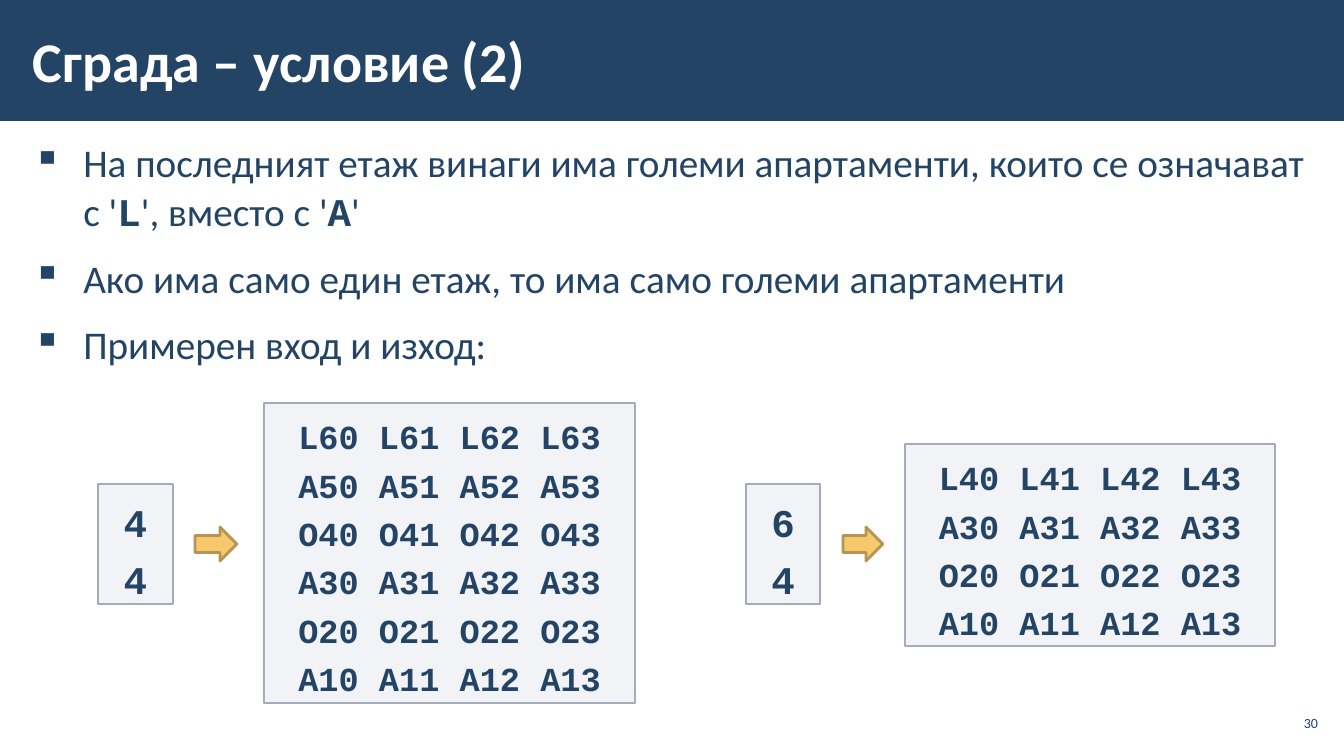
import pptx
import pptx.dml.color
import pptx.enum.shapes
import pptx.enum.text
import pptx.oxml
import pptx.oxml.ns
import pptx.util

PX = 914400 / 100.8
THEME = {
    "navy": "234465", "white": "FFFFFF", "panel": "C2C7D2", "panel_line": "A3ABBC",
    "arrow": "F7C86D", "arrow_line": "B79451",
    "text_font": "Calibri", "code_font": "Courier New",
    "title_size": 40, "body_size": 28, "input_size": 28, "output_size": 24, "number_size": 10,
}
SHAPES = pptx.enum.shapes.MSO_SHAPE
ALIGN = pptx.enum.text.PP_ALIGN
ANCHOR = pptx.enum.text.MSO_ANCHOR

deck = pptx.Presentation()
deck.slide_width, deck.slide_height = round(1344 * PX), round(756 * PX)
page = deck.slides.add_slide(deck.slide_layouts[6])


def add_box(place, fill=None, line=None, line_width=1, inset=(10, 5), anchor=ANCHOR.TOP):
    """Add a text box, or a filled rectangle when a fill is given; place is in px."""
    left, top, width, height = (round(value * PX) for value in place)
    if fill:
        kind = SHAPES.RIGHT_ARROW if fill == "arrow" else SHAPES.RECTANGLE
        box = page.shapes.add_shape(kind, left, top, width, height)
        box.shadow.inherit = False
        box.fill.solid()
        box.fill.fore_color.rgb = pptx.dml.color.RGBColor.from_string(THEME[fill])
        if line:
            box.line.color.rgb = pptx.dml.color.RGBColor.from_string(THEME[line])
            box.line.width = pptx.util.Pt(line_width)
        else:
            box.line.fill.background()
    else:
        box = page.shapes.add_textbox(left, top, width, height)
    frame = box.text_frame
    frame.word_wrap = True
    frame.vertical_anchor = anchor
    frame.margin_left = frame.margin_right = round(inset[0] * PX)
    frame.margin_top = frame.margin_bottom = round(inset[1] * PX)
    return box


def style_text(para, size, color="navy", font="text_font", bold=False, align=ALIGN.LEFT):
    para.alignment = align
    for span in para.runs:
        span.font.name = THEME[font]
        span.font.size = pptx.util.Pt(THEME[size])
        span.font.bold = bold
        span.font.color.rgb = pptx.dml.color.RGBColor.from_string(THEME[color])


# Title bar
add_box((0, 0, 1344, 121), "navy")
title = add_box((21, 11, 1047, 98), inset=(12, 4), anchor=ANCHOR.MIDDLE)
title.text_frame.text = "Сграда – условие (2)"
style_text(title.text_frame.paragraphs[0], "title_size", "white", bold=True)

# Bullets: every second part of a line is code
bullets = [
    ["На последният етаж винаги има големи апартаменти, които се означават с '",
     "L", "', вместо с '", "А", "'"],
    ["Ако има само един етаж, то има само големи апартаменти"],
    ["Примерен вход и изход:"],
]
body = add_box((21, 132, 1302, 574), inset=(12, 4)).text_frame
for index, parts in enumerate(bullets):
    para = body.add_paragraph() if index else body.paragraphs[0]
    for part in parts:
        para.add_run().text = part
    style_text(para, "body_size")
    for span in para.runs[1::2]:
        span.font.name = THEME["code_font"]
        span.font.bold = True
    para.line_spacing = 1.05
    para.space_before = para.space_after = pptx.util.Pt(6)
    properties = para._p.get_or_add_pPr()
    properties.set("marL", str(pptx.util.Inches(0.5)))
    properties.set("indent", str(-pptx.util.Inches(0.5)))
    bullet = pptx.oxml.parse_xml(f'<a:buChar {pptx.oxml.ns.nsdecls("a")} char="▪"/>')
    properties.append(bullet)

# Sample inputs and outputs
input_panels = [((98, 484, 75, 120), "4\n4"), ((746, 484, 74, 120), "6\n4")]
output_panels = [
    ((264, 403, 371, 300), "L60 L61 L62 L63\nA50 A51 A52 A53\nO40 O41 O42 O43\n"
                           "A30 A31 A32 A33\nO20 O21 O22 O23\nA10 A11 A12 A13"),
    ((905, 444, 370, 202), "L40 L41 L42 L43\nA30 A31 A32 A33\n"
                           "O20 O21 O22 O23\nA10 A11 A12 A13"),
]
for size, panels in (("input_size", input_panels), ("output_size", output_panels)):
    for place, text in panels:
        panel = add_box(place, "panel", "panel_line")
        color = panel.fill._xPr.find(".//" + pptx.oxml.ns.qn("a:srgbClr"))
        color.append(pptx.oxml.parse_xml(
            f'<a:alpha {pptx.oxml.ns.nsdecls("a")} val="20000"/>'))
        panel.text_frame.text = text
        for para in panel.text_frame.paragraphs:
            style_text(para, size, font="code_font", bold=True, align=ALIGN.CENTER)
            para.line_spacing = 1.2

for left, width in ((195, 42), (843, 40)):
    add_box((left, 527, width, 34), "arrow", "arrow_line", line_width=2)

# Page number
number = add_box((1275, 706, 47, 34), inset=(4, 4), anchor=ANCHOR.MIDDLE)
number.text_frame.text = "30"
style_text(number.text_frame.paragraphs[0], "number_size", align=ALIGN.RIGHT)

deck.save("out.pptx")
